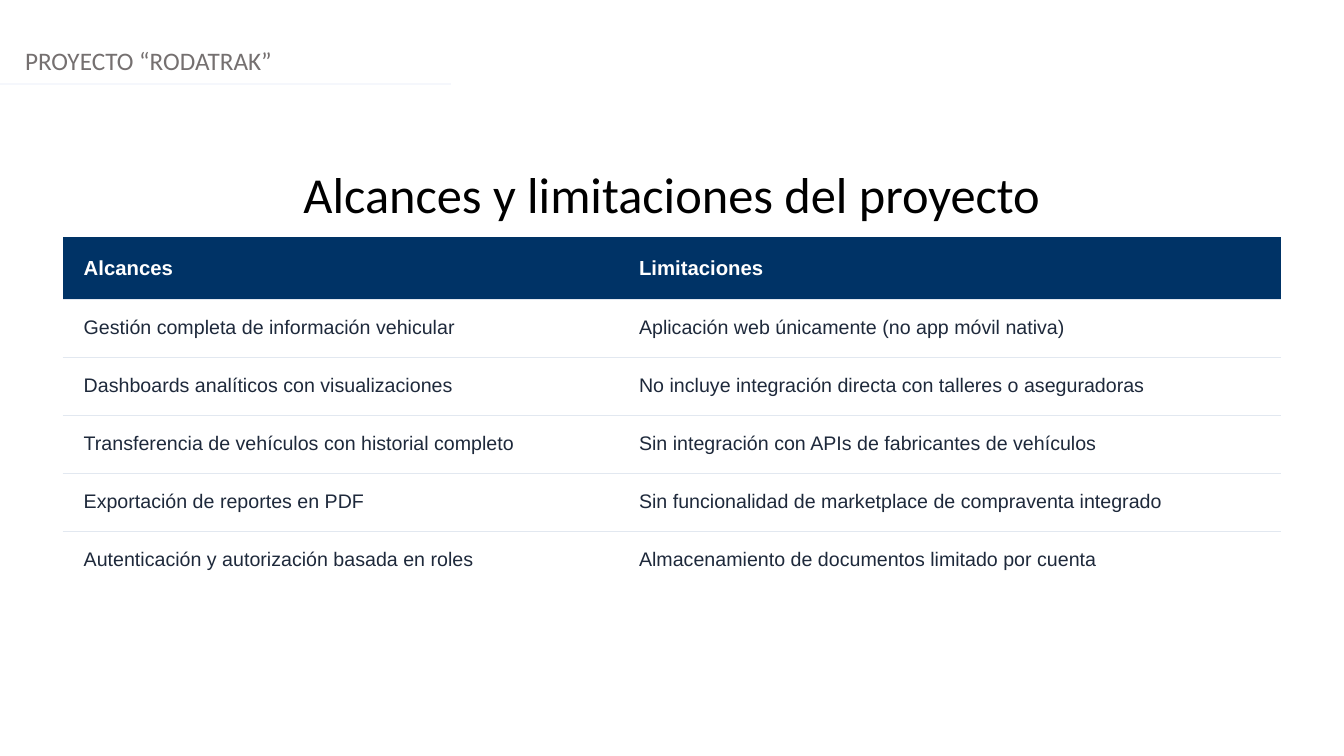
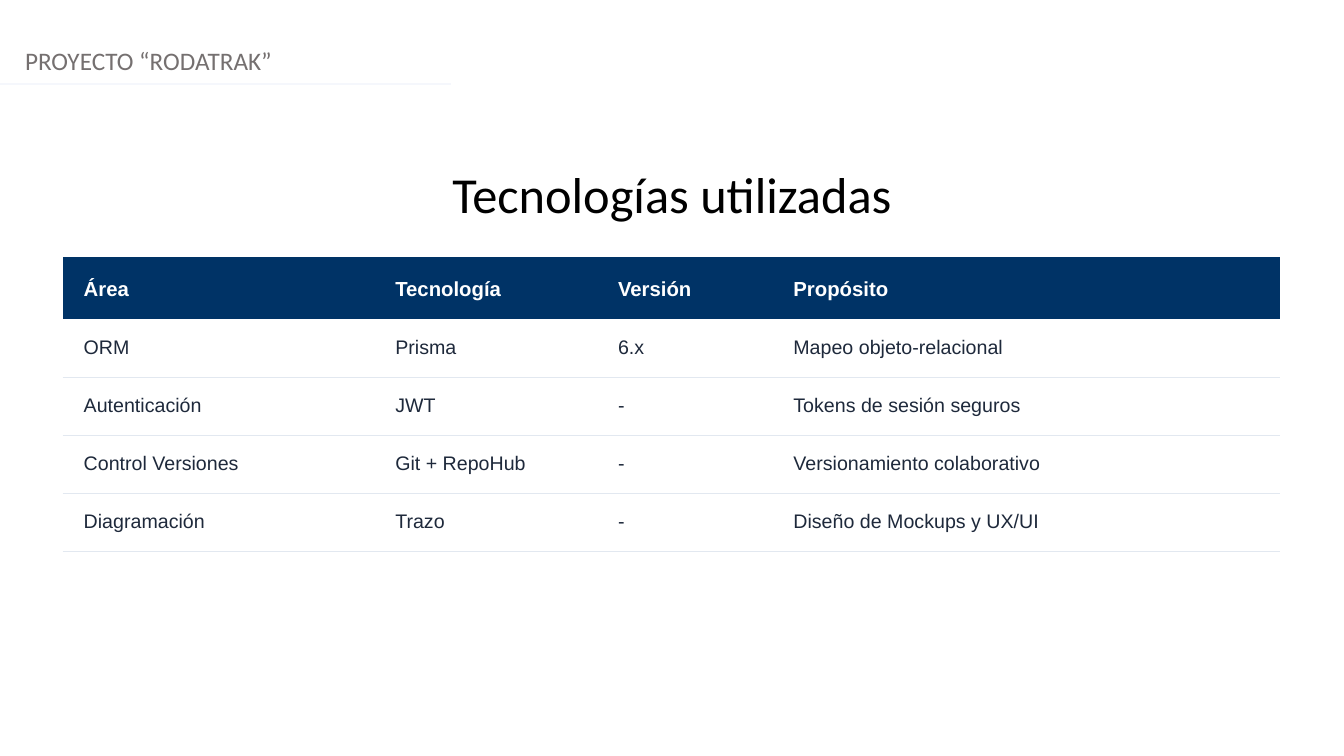
"""Build two project slides that share a header, a title style and a ruled table."""
from dataclasses import dataclass

from lxml import etree
from pptx import Presentation
from pptx.dml.color import RGBColor
from pptx.enum.shapes import MSO_CONNECTOR
from pptx.enum.text import MSO_AUTO_SIZE, PP_ALIGN
from pptx.oxml.ns import qn
from pptx.slide import Slide
from pptx.table import _Cell
from pptx.text.text import _Paragraph
from pptx.util import Pt

STRAIGHT = MSO_CONNECTOR.STRAIGHT
GROW = MSO_AUTO_SIZE.SHAPE_TO_FIT_TEXT
LEFT, CENTER = PP_ALIGN.LEFT, PP_ALIGN.CENTER

WHITE = RGBColor(0xFF, 0xFF, 0xFF)
BLACK = RGBColor(0x00, 0x00, 0x00)
GRAY = RGBColor(0x75, 0x70, 0x70)
NAVY = RGBColor(0x00, 0x33, 0x66)
SLATE = RGBColor(0x1E, 0x29, 0x3B)
PALE = RGBColor(0xF5, 0xF7, 0xFC)
RULE = RGBColor(0xE2, 0xE8, 0xF0)

SLIDE_WIDTH, SLIDE_HEIGHT = Pt(960), Pt(540)
TABLE_LEFT = Pt(44.8)
HEADER_HEIGHT, ROW_HEIGHT = Pt(40.3), Pt(38.2)
RULE_WIDTH = Pt(0.75)
PROJECT_NAME = "PROYECTO “RODATRAK”"
CELL_MARGINS = {
    "margin_left": Pt(15), "margin_right": Pt(15),
    "margin_top": Pt(12.3), "margin_bottom": Pt(12.3),
}


@dataclass(frozen=True)
class TextStyle:
    font: str
    size: float
    color: RGBColor
    bold: bool = False
    alignment: PP_ALIGN = LEFT
    line_spacing: float = 1.0


@dataclass(frozen=True)
class TableSlide:
    title: str
    table_top: float
    column_widths: tuple[float, ...]
    rows: tuple[tuple[str, ...], ...]
    ruled_rows: range


PROJECT_STYLE = TextStyle("Calibri", 18, GRAY)
TITLE_STYLE = TextStyle("Calibri", 36, BLACK, alignment=CENTER)
HEADER_STYLE = TextStyle("Arial", 14.5, WHITE, bold=True, line_spacing=1.15)
BODY_STYLE = TextStyle("Arial", 14, SLATE)

TABLE_SLIDES = (
    TableSlide(
        "Alcances y limitaciones del proyecto", 169.2, (396.7, 473.2),
        (
            ("Alcances", "Limitaciones"),
            ("Gestión completa de información vehicular",
             "Aplicación web únicamente (no app móvil nativa)"),
            ("Dashboards analíticos con visualizaciones",
             "No incluye integración directa con talleres o aseguradoras"),
            ("Transferencia de vehículos con historial completo",
             "Sin integración con APIs de fabricantes de vehículos"),
            ("Exportación de reportes en PDF",
             "Sin funcionalidad de marketplace de compraventa integrado"),
            ("Autenticación y autorización basada en roles",
             "Almacenamiento de documentos limitado por cuenta"),
        ),
        range(0, 5),
    ),
    TableSlide(
        "Tecnologías utilizadas", 183.6, (222.6, 159.1, 125.3, 362.9),
        (
            ("Área", "Tecnología", "Versión", "Propósito"),
            ("ORM", "Prisma", "6.x", "Mapeo objeto-relacional"),
            ("Autenticación", "JWT", "-", "Tokens de sesión seguros"),
            ("Control Versiones", "Git + RepoHub", "-", "Versionamiento colaborativo"),
            ("Diagramación", "Trazo", "-", "Diseño de Mockups y UX/UI"),
        ),
        range(1, 5),
    ),
)


def write_text(paragraph: _Paragraph, text: str, style: TextStyle) -> None:
    paragraph.alignment = style.alignment
    paragraph.line_spacing = style.line_spacing
    run = paragraph.add_run()
    run.text = text
    font_format = {"name": style.font, "size": Pt(style.size), "bold": style.bold}
    for name, value in font_format.items():
        setattr(run.font, name, value)
    run.font.color.rgb = style.color


def add_text(slide: Slide, left: float, top: float, height: float,
             text: str, style: TextStyle) -> None:
    shape = slide.shapes.add_textbox(Pt(left), Pt(top), SLIDE_WIDTH, Pt(height))
    frame_format = {"word_wrap": True, "auto_size": GROW}
    for name, value in frame_format.items():
        setattr(shape.text_frame, name, value)
    write_text(shape.text_frame.paragraphs[0], text, style)


def add_header(slide: Slide, title: str) -> None:
    add_text(slide, 10.8, 28.8, 29, PROJECT_NAME, PROJECT_STYLE)
    add_text(slide, 0, 113, 51, title, TITLE_STYLE)
    line = slide.shapes.add_connector(STRAIGHT, Pt(0), Pt(59.8), Pt(321.8), Pt(59.8))
    line.line.color.rgb = PALE
    line.line.width = Pt(1.25)
    etree.SubElement(line._element.spPr, qn("a:effectLst"))


def set_borders(cell: _Cell, top: bool, bottom: bool) -> None:
    properties = cell._tc.get_or_add_tcPr()
    borders = {"a:lnL": False, "a:lnR": False, "a:lnT": top, "a:lnB": bottom}
    for tag, visible in borders.items():
        border = etree.SubElement(properties, qn(tag), w=str(int(RULE_WIDTH)))
        if visible:
            fill = etree.SubElement(border, qn("a:solidFill"))
            etree.SubElement(fill, qn("a:srgbClr"), val=str(RULE))
        else:
            etree.SubElement(border, qn("a:noFill"))


def add_ruled_table(slide: Slide, content: TableSlide) -> None:
    row_count, column_count = len(content.rows), len(content.column_widths)
    table = slide.shapes.add_table(
        row_count, column_count, TABLE_LEFT, Pt(content.table_top),
        Pt(sum(content.column_widths)), HEADER_HEIGHT + ROW_HEIGHT * (row_count - 1),
    ).table
    for name, value in {"first_row": False, "horz_banding": False}.items():
        setattr(table, name, value)
    for column, width in zip(table.columns, content.column_widths):
        column.width = Pt(width)
    for row_index, texts in enumerate(content.rows):
        is_header = row_index == 0
        table.rows[row_index].height = HEADER_HEIGHT if is_header else ROW_HEIGHT
        for column_index, text in enumerate(texts):
            cell = table.cell(row_index, column_index)
            for name, value in CELL_MARGINS.items():
                setattr(cell, name, value)
            set_borders(cell, row_index - 1 in content.ruled_rows,
                        row_index in content.ruled_rows)
            cell.fill.solid()
            cell.fill.fore_color.rgb = NAVY if is_header else WHITE
            write_text(cell.text_frame.paragraphs[0], text,
                       HEADER_STYLE if is_header else BODY_STYLE)


def main() -> None:
    presentation = Presentation()
    presentation.slide_width, presentation.slide_height = SLIDE_WIDTH, SLIDE_HEIGHT
    blank_layout = presentation.slide_layouts[6]
    for content in TABLE_SLIDES:
        slide = presentation.slides.add_slide(blank_layout)
        add_header(slide, content.title)
        add_ruled_table(slide, content)
    presentation.save("out.pptx")


if __name__ == "__main__":
    main()
